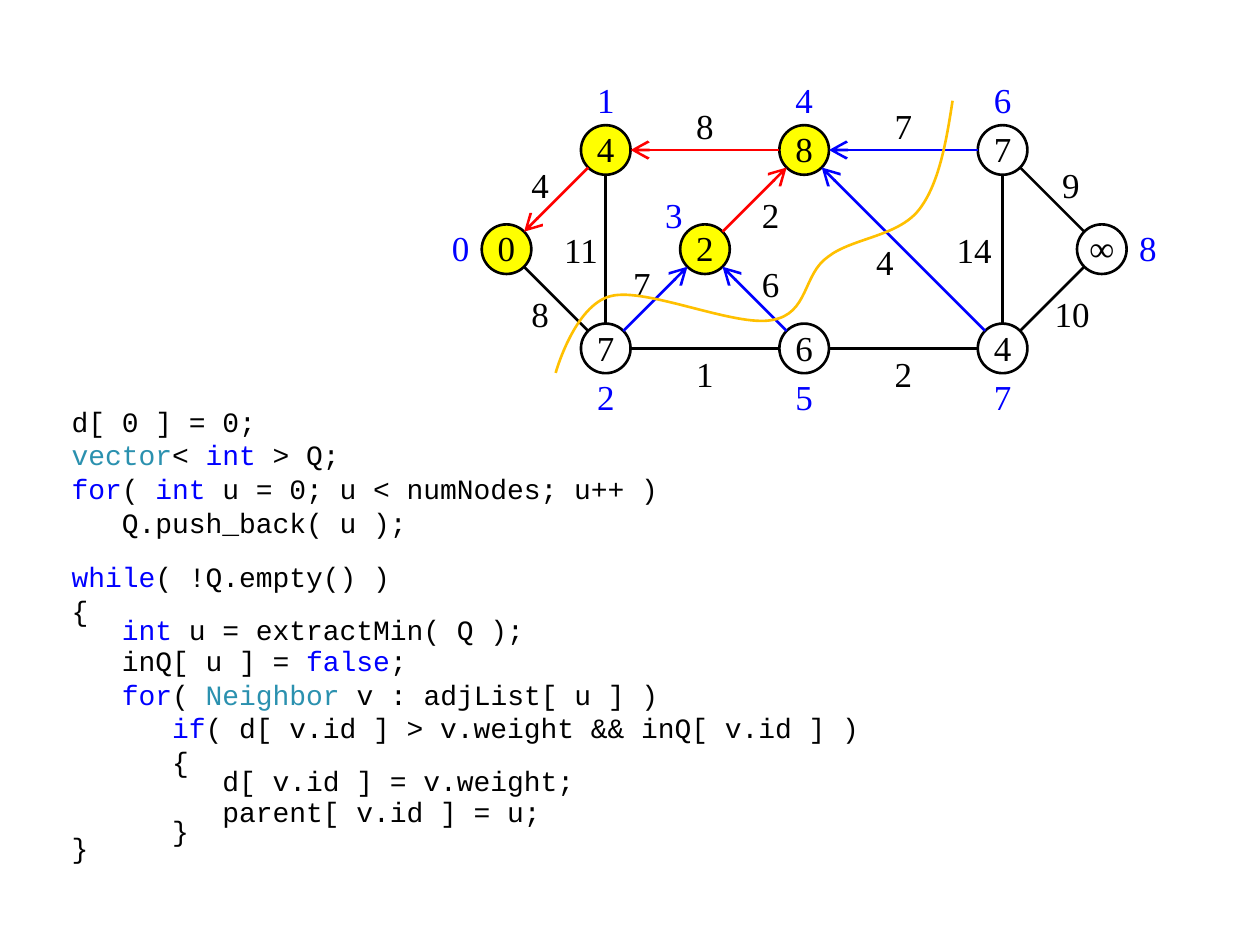
import math

from lxml import etree
from pptx import Presentation
from pptx.dml.color import RGBColor
from pptx.enum import shapes, text
from pptx.oxml.ns import qn
from pptx.util import Inches, Pt

BLACK, WHITE, YELLOW = "000000", "FFFFFF", "FFFF00"
RED, BLUE, ORANGE, TEAL = "FF0000", "0000FF", "FFC000", "2B91AF"
CENTER, LEFT, RIGHT = text.PP_ALIGN.CENTER, text.PP_ALIGN.LEFT, text.PP_ALIGN.RIGHT
CELL = 1 / 2.54
NODE_INSETS = (0.1, 0, 0.1, 0.02)
LABEL_INSETS = (0.1, 0, 0.1, 0)

NODES = [
    ("0", 1.5, 3.5, YELLOW),
    ("4", 3.5, 1.5, YELLOW),
    ("7", 3.5, 5.5, WHITE),
    ("2", 5.5, 3.5, YELLOW),
    ("8", 7.5, 1.5, YELLOW),
    ("6", 7.5, 5.5, WHITE),
    ("7", 11.5, 1.5, WHITE),
    ("4", 11.5, 5.5, WHITE),
    ("∞", 13.5, 3.5, WHITE),
]
IDS = [
    (-1, 0, RIGHT), (0, -1, CENTER), (0, 1, CENTER), (-0.75, -0.75, CENTER),
    (0, -1, CENTER), (0, 1, CENTER), (0, -1, CENTER), (0, 1, CENTER), (1, 0, LEFT),
]
EDGES = [
    (1, 0, RED), (2, 0, BLACK), (3, 4, RED), (8, 6, BLACK), (7, 4, BLUE),
    (2, 3, BLUE), (5, 3, BLUE), (8, 7, BLACK), (2, 1, BLACK), (2, 5, BLACK),
    (5, 7, BLACK), (4, 1, RED), (6, 4, BLUE), (7, 6, BLACK),
]
WEIGHTS = [
    ("6", 6, 3.5, 1.5, (0.1, 0, 0.04, 0.04)),
    ("4", 1.5, 1.5, 1.5, (0.04, 0, 0.1, 0.04)),
    ("10", 12, 4, 1.5, (0.12, 0.04, 0, 0)),
    ("9", 12, 1.5, 1.5, (0.1, 0, 0, 0.04)),
    ("8", 1.5, 4, 1.5, (0.04, 0.04, 0.1, 0)),
    ("7", 3.5, 3.5, 1.5, (0.08, 0, 0.1, 0.04)),
    ("2", 6, 2, 1.5, (0.1, 0.04, 0.04, 0)),
    ("8", 5, 0.5, 1, LABEL_INSETS),
    ("2", 9, 5.5, 1, LABEL_INSETS),
    ("7", 9, 0.5, 1, LABEL_INSETS),
    ("11", 2.5, 3, 1, (0, 0, 0, 0)),
    ("4", 8.5, 3, 1.5, (0, 0, 0.1, 0)),
    ("1", 5, 5.5, 1, LABEL_INSETS),
    ("14", 10.5, 3, 1, (0, 0, 0.06, 0)),
]
CUT = [
    (4.13, 0.2),
    (4.08, 0.53), (4.02, 0.87), (3.86, 1.07),
    (3.69, 1.28), (3.33, 1.29), (3.14, 1.44),
    (2.94, 1.58), (2.99, 1.89), (2.7, 1.94),
    (2.41, 2), (1.7, 1.68), (1.42, 1.75),
    (1.13, 1.82), (0.98, 2.36), (0.98, 2.36),
]
SYNTAX = {"vector": TEAL, "Neighbor": TEAL}
SYNTAX.update(dict.fromkeys(["int", "for", "while", "false", "if"], BLUE))
CODE = """d[ 0 ] = 0;
~vector~< ~int~ > Q;
~for~( ~int~ u = 0; u < numNodes; u++ )
   Q.push_back( u );
~while~( !Q.empty() )
{
   ~int~ u = extractMin( Q );
   inQ[ u ] = ~false~;
   ~for~( ~Neighbor~ v : adjList[ u ] )
      ~if~( d[ v.id ] > v.weight && inQ[ v.id ] )
      {
         d[ v.id ] = v.weight;
         parent[ v.id ] = u;
      }
}""".split("\n")
LOOP_START = 4
TIGHT_LINES = {6, 11, 13, 14}


def rgb(value):
    return RGBColor.from_string(value)


def style_font(font, name, size, color):
    font.name = name
    font.size = Pt(size)
    font.color.rgb = rgb(color)


def style_line(shape, color):
    shape.line.color.rgb = rgb(color)
    shape.line.width = Pt(1.5)


def write_label(shape, content, color, insets, align=CENTER):
    frame = shape.text_frame
    frame.text = content
    frame.word_wrap = False
    frame.vertical_anchor = text.MSO_ANCHOR.MIDDLE
    (frame.margin_left, frame.margin_top,
     frame.margin_right, frame.margin_bottom) = map(Inches, insets)
    frame.paragraphs[0].alignment = align
    style_font(frame.paragraphs[0].runs[0].font, "Times New Roman", 20, color)


def add_edge(slide, start, end, color):
    edge = slide.shapes.add_connector(shapes.MSO_CONNECTOR.STRAIGHT, *start, *end)
    style_line(edge, color)
    if color != BLACK:
        etree.SubElement(edge.line._get_or_add_ln(), qn("a:tailEnd"),
                         type="arrow", w="lg", len="lg")
    etree.SubElement(edge._element.spPr, qn("a:effectLst"))


def add_cut(slide, left, top):
    points = [(Inches(left + x), Inches(top + y)) for x, y in CUT]
    builder = slide.shapes.build_freeform(*points[0])
    builder.add_line_segments(points[1:], close=False)
    cut = builder.convert_to_shape()
    cut.shadow.inherit = False
    cut.fill.background()
    style_line(cut, ORANGE)
    segments = list(cut._element.iter(qn("a:lnTo")))
    for first in range(0, len(segments), 3):
        curve = etree.Element(qn("a:cubicBezTo"))
        segments[first].addprevious(curve)
        for segment in segments[first:first + 3]:
            curve.append(segment[0])
            segment.getparent().remove(segment)


def add_graph(slide, left, top):
    def place(x, y):
        return Inches(left + x * CELL), Inches(top + y * CELL)

    def add_text(content, x, y, size, color, insets, align=CENTER):
        side = Inches(size * CELL)
        label = slide.shapes.add_textbox(*place(x, y), side, side)
        write_label(label, content, color, insets, align)

    for weight, x, y, size, insets in WEIGHTS:
        add_text(weight, x, y, size, BLACK, insets)

    for distance, x, y, fill in NODES:
        node = slide.shapes.add_shape(
            shapes.MSO_SHAPE.OVAL, *place(x - 0.5, y - 0.5), Inches(CELL), Inches(CELL))
        node.shadow.inherit = False
        node.fill.solid()
        node.fill.fore_color.rgb = rgb(fill)
        style_line(node, BLACK)
        write_label(node, distance, BLACK, NODE_INSETS)

    for source, target, color in EDGES:
        x1, y1 = NODES[source][1:3]
        x2, y2 = NODES[target][1:3]
        length = math.hypot(x2 - x1, y2 - y1)
        dx, dy = (x2 - x1) / length / 2, (y2 - y1) / length / 2
        add_edge(slide, place(x1 + dx, y1 + dy), place(x2 - dx, y2 - dy), color)

    for number, ((_, x, y, _), (dx, dy, align)) in enumerate(zip(NODES, IDS)):
        diagonal = dx and dy
        size = 1.5 if diagonal else 1
        insets = (0.1, 0.04, 0, 0) if diagonal else NODE_INSETS
        add_text(str(number), x + dx - size / 2, y + dy - size / 2,
                 size, BLUE, insets, align)

    add_cut(slide, left, top)


def add_code(slide, left, top, width, height):
    box = slide.shapes.add_textbox(*map(Inches, (left, top, width, height)))
    frame = box.text_frame
    frame.word_wrap = True
    for index, line in enumerate(CODE):
        paragraph = frame.add_paragraph() if index else frame.paragraphs[0]
        if index == LOOP_START:
            paragraph.space_before = Pt(12)
        if index in TIGHT_LINES:
            paragraph.line_spacing = 0.5
        for piece in filter(None, line.split("~")):
            run = paragraph.add_run()
            run.text = piece
            style_font(run.font, "Courier New", 16, SYNTAX.get(piece, BLACK))


def main():
    deck = Presentation()
    deck.slide_width, deck.slide_height = Inches(10), Inches(7.5)
    slide = deck.slides.add_slide(deck.slide_layouts[6])
    add_code(slide, 0.47, 3.16, 6.5, 3.74)
    add_graph(slide, 3.43, 0.6)
    deck.save("out.pptx")


if __name__ == "__main__":
    main()
